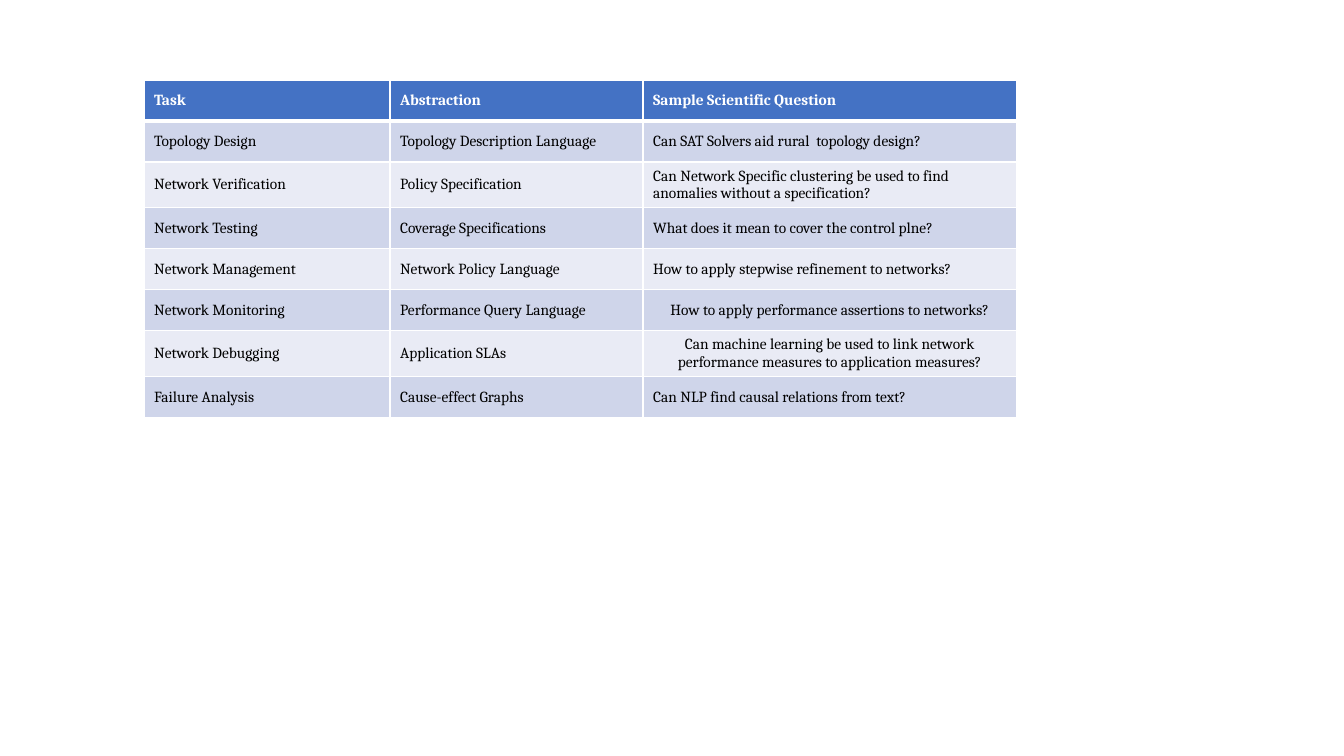
from lxml.etree import SubElement
from pptx import Presentation
from pptx.dml.color import RGBColor as RGB
from pptx.enum.text import MSO_ANCHOR as ANCHOR, PP_ALIGN as ALIGN
from pptx.oxml.ns import qn
from pptx.util import Emu, Pt

PX = 914400 / 100.8
FONT = "Cambria"
COLORS = {"header": "4472C4", "odd": "CFD5EA", "even": "E9EBF5",
          "white": "FFFFFF", "black": "000000"}
LEFT, TOP, ROW_HEIGHT = 144, 80, 41
COLUMN_WIDTHS = [246, 253, 374]
CENTERED = {(5, 2), (6, 2)}
TASKS = [
    ("Task", "Abstraction", "Sample Scientific Question"),
    ("Topology Design", "Topology Description Language",
     "Can SAT Solvers aid rural  topology design?"),
    ("Network Verification", "Policy Specification",
     "Can Network Specific clustering be used to find anomalies "
     "without a specification?"),
    ("Network Testing", "Coverage Specifications",
     "What does it mean to cover the control plne?"),
    ("Network Management", "Network Policy Language",
     "How to apply stepwise refinement to networks?"),
    ("Network Monitoring", "Performance Query Language",
     "How to apply performance assertions to networks?"),
    ("Network Debugging", "Application SLAs",
     "Can machine learning be used to link network performance "
     "measures to application measures?"),
    ("Failure Analysis", "Cause-effect Graphs",
     "Can NLP find causal relations from text?"),
]


def px(n):
    """Turn pixels into EMU."""
    return Emu(round(n * PX))


def rgb(name):
    """Look up a colour by name."""
    return RGB.from_string(COLORS[name])


def set_borders(cell, top=1, bottom=1):
    """Draw white borders, with widths in points."""
    tcPr = cell._tc.get_or_add_tcPr()
    for side, width in zip("LRTB", (1, 1, top, bottom)):
        ln = SubElement(tcPr, qn(f"a:ln{side}"), w=str(Pt(width)))
        fill = SubElement(ln, qn("a:solidFill"))
        SubElement(fill, qn("a:srgbClr"), val=COLORS["white"])


def fill_cell(cell, text, row, align):
    """Write and style one cell according to its row."""
    header = row == 0
    set_borders(cell, top=3 if row == 1 else 1, bottom=3 if header else 1)
    cell.fill.solid()
    band = "odd" if row % 2 else "even"
    cell.fill.fore_color.rgb = rgb("header" if header else band)
    cell.vertical_anchor = ANCHOR.MIDDLE
    cell.text = text
    p = cell.text_frame.paragraphs[0]
    p.alignment = align
    p.font.name, p.font.size, p.font.bold = FONT, Pt(11), header
    p.font.color.rgb = rgb("white" if header else "black")


def add_task_table(s):
    """Add the table of tasks, abstractions and questions."""
    frame = s.shapes.add_table(
        len(TASKS), len(COLUMN_WIDTHS), px(LEFT), px(TOP),
        px(sum(COLUMN_WIDTHS)), px(ROW_HEIGHT * len(TASKS)))
    table = frame.table
    for column, width in zip(table.columns, COLUMN_WIDTHS):
        column.width = px(width)
    for i, texts in enumerate(TASKS):
        table.rows[i].height = px(ROW_HEIGHT)
        for j, text in enumerate(texts):
            align = ALIGN.CENTER if (i, j) in CENTERED else ALIGN.LEFT
            fill_cell(table.cell(i, j), text, i, align)


def main():
    """Build and save the slide."""
    prs = Presentation()
    prs.slide_width, prs.slide_height = px(1344), px(756)
    s = prs.slides.add_slide(prs.slide_layouts[6])
    add_task_table(s)
    prs.save("out.pptx")


main()
